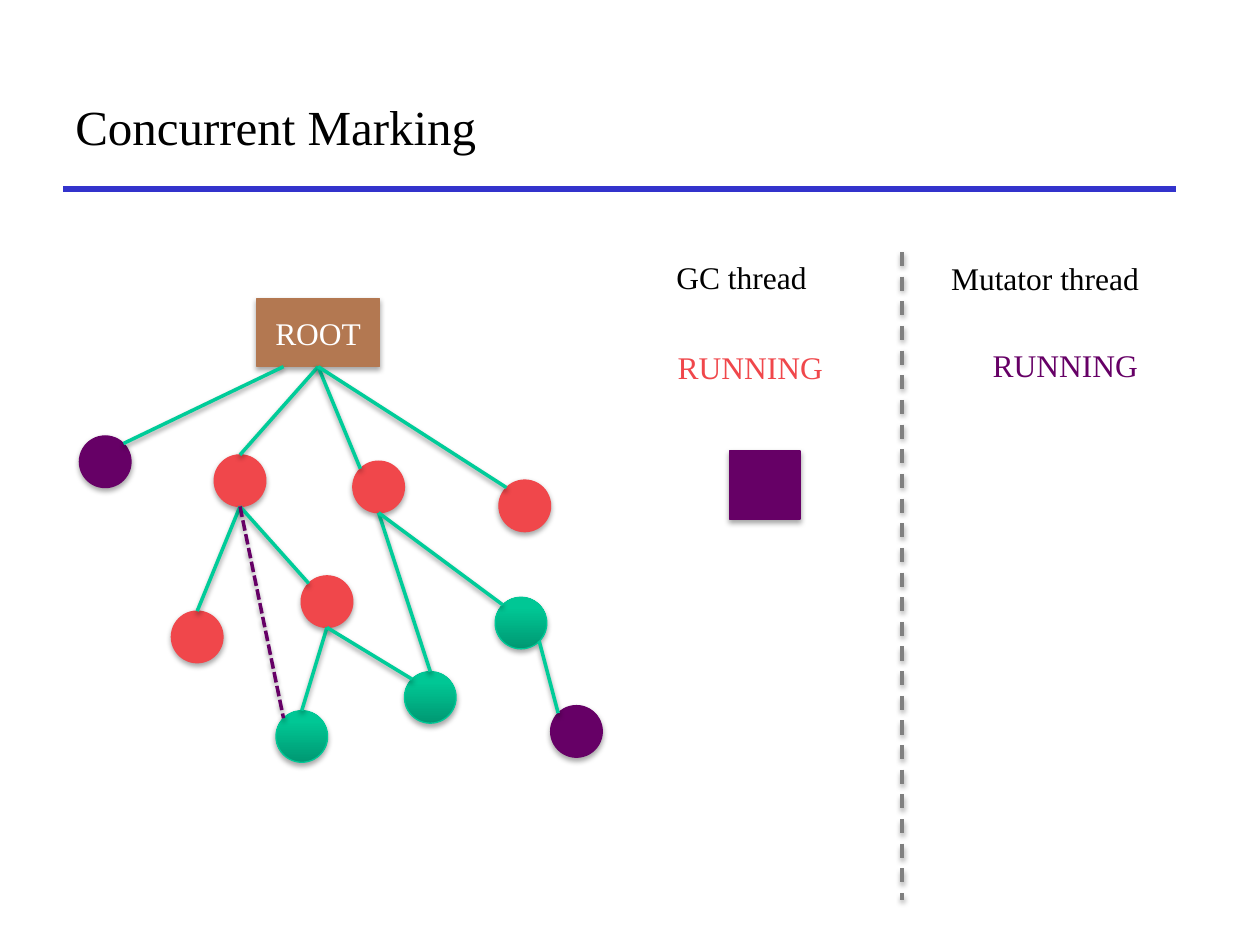
import math

import pptx
import pptx.util
from lxml import etree
from pptx.dml.color import RGBColor
from pptx.enum.dml import MSO_LINE
from pptx.enum.shapes import MSO_CONNECTOR, MSO_SHAPE
from pptx.enum.text import MSO_ANCHOR, MSO_AUTO_SIZE, PP_ALIGN
from pptx.oxml.ns import qn

Inches, Pt = pptx.util.Inches, pptx.util.Pt

BLACK = RGBColor(0, 0, 0)
WHITE = RGBColor(0xFF, 0xFF, 0xFF)
BLUE = RGBColor(0x33, 0x33, 0xCC)
BROWN = RGBColor(0xB3, 0x78, 0x51)
RED = RGBColor(0xF0, 0x47, 0x4B)
PURPLE = RGBColor(0x66, 0x00, 0x66)
GRAY = RGBColor(0x80, 0x80, 0x80)
GREEN = RGBColor(0x00, 0xCC, 0x99)
GREEN_EDGE = RGBColor(0x00, 0xC8, 0x96)
GREEN_DARK = RGBColor(0x00, 0x98, 0x72)
GREEN_LIGHT = RGBColor(0x00, 0xC7, 0x95)

FONT = "Times New Roman"
NODE_SIZE = 0.41
ROOT_BOX = (2.04, 2.37, 0.97, 0.54)
ALLOCATED_BOX = (5.79, 3.58, 0.56, 0.54)

# name: left, top, colour (green nodes get a gradient)
NODES = {
    "a": (1.70, 3.61, RED),
    "b": (2.80, 3.66, RED),
    "a1": (1.36, 4.85, RED),
    "a2": (2.39, 4.57, RED),
    "b1": (3.93, 4.74, GREEN),
    "a2x": (2.19, 5.64, GREEN),
    "a2y": (3.21, 5.33, GREEN),
    "c": (3.96, 3.81, RED),
    "b1x": (4.37, 5.60, PURPLE),
    "new": (0.63, 3.46, PURPLE),
}
# parent, its side, child, its side, colour, dash
EDGES = [
    ("root", "bottom", "a", "top", GREEN, None),
    ("root", "bottom", "b", "top left", GREEN, None),
    ("a", "bottom", "a1", "top", GREEN, None),
    ("a", "bottom", "a2", "top left", GREEN, None),
    ("a2", "bottom", "a2x", "top", GREEN, None),
    ("a2", "bottom", "a2y", "top left", GREEN, None),
    ("b", "bottom", "a2y", "top", GREEN, None),
    ("b", "bottom", "b1", "top left", GREEN, None),
    ("root", "bottom", "c", "top left", GREEN, None),
    ("a", "bottom", "a2x", "top left", PURPLE, MSO_LINE.SQUARE_DOT),
    ("b1", "bottom right", "b1x", "top left", GREEN, None),
    ("root", "bottom left", "new", "top right", GREEN, None),
]
# text, box, size, colour, vertical anchor
TEXTS = [
    ("Concurrent Marking", (0.5, 0.5, 8.83, 1), 28, BLACK, MSO_ANCHOR.MIDDLE),
    ("GC thread", (5.27, 2.00, 1.30, 0.4), 18, BLACK, MSO_ANCHOR.TOP),
    ("Mutator thread", (7.45, 2.01, 1.77, 0.4), 18, BLACK, MSO_ANCHOR.TOP),
    ("RUNNING", (7.78, 2.70, 1.40, 0.4), 18, PURPLE, MSO_ANCHOR.TOP),
    ("RUNNING", (5.28, 2.71, 1.40, 0.4), 18, RED, MSO_ANCHOR.TOP),
]


def set_shadow(properties, opacity=None):
    """Replace the theme shadow; without an opacity there is none."""
    effects = properties.find(qn("a:effectLst"))
    if effects is None:
        effects = etree.SubElement(properties, qn("a:effectLst"))
    if opacity:
        shadow = etree.SubElement(
            effects, qn("a:outerShdw"), blurRad=str(Pt(3.1)),
            dist=str(Pt(1.7)), dir="5400000", rotWithShape="0")
        color = etree.SubElement(shadow, qn("a:srgbClr"), val="000000")
        etree.SubElement(color, qn("a:alpha"), val=str(opacity * 1000))


def format_text(text_frame, text, size, color):
    text_frame.text = text
    font = text_frame.paragraphs[0].runs[0].font
    font.name, font.size, font.color.rgb = FONT, Pt(size), color


def add_text(slide, text, box, size, color, anchor):
    text_frame = slide.shapes.add_textbox(*map(Inches, box)).text_frame
    text_frame.word_wrap = anchor == MSO_ANCHOR.MIDDLE
    if not text_frame.word_wrap:
        text_frame.auto_size = MSO_AUTO_SIZE.SHAPE_TO_FIT_TEXT
    text_frame.vertical_anchor = anchor
    format_text(text_frame, text, size, color)


def add_block(slide, kind, box, color):
    shape = slide.shapes.add_shape(kind, *map(Inches, box))
    if color == GREEN:
        shape.fill.gradient()
        shape.fill.gradient_angle = 90
        dark, light = shape.fill.gradient_stops
        dark.color.rgb, dark.position = GREEN_DARK, 0
        light.color.rgb, light.position = GREEN_LIGHT, 0.8
    else:
        shape.fill.solid()
        shape.fill.fore_color.rgb = color
    shape.line.color.rgb = GREEN_EDGE if color == GREEN else color
    shape.line.width = Pt(0.75)
    shape.shadow.inherit = False
    set_shadow(shape._element.spPr, 35)
    return shape


def add_line(slide, start, end, color, width=2, dash=None, opacity=38):
    line = slide.shapes.add_connector(
        MSO_CONNECTOR.STRAIGHT, *map(Inches, start + end))
    line.line.color.rgb = color
    line.line.width = Pt(width)
    if dash:
        line.line.dash_style = dash
    set_shadow(line._element.spPr, opacity)
    return line


def side_point(name, side):
    """Point on the rim of a node, or on the lower side of the root."""
    if name == "root":
        left, top, width, height = ROOT_BOX
        return (2.25 if "left" in side else left + width / 2, top + height)
    left, top, _ = NODES[name]
    radius = NODE_SIZE / 2
    across = ("right" in side) - ("left" in side)
    down = ("bottom" in side) - ("top" in side)
    reach = radius / math.hypot(across, down)
    return (left + radius + across * reach, top + radius + down * reach)


def main():
    presentation = pptx.Presentation()
    presentation.slide_width, presentation.slide_height = Inches(10), Inches(7.5)
    slide = presentation.slides.add_slide(presentation.slide_layouts[6])

    add_line(slide, (0.5, 1.5), (9.33, 1.5), BLUE, width=3, opacity=None)
    for text in TEXTS:
        add_text(slide, *text)
    add_line(slide, (7.16, 2), (7.16, 7.14), GRAY, dash=MSO_LINE.DASH)

    root = add_block(slide, MSO_SHAPE.RECTANGLE, ROOT_BOX, BROWN)
    root.text_frame.word_wrap = False
    root.text_frame.vertical_anchor = MSO_ANCHOR.MIDDLE
    format_text(root.text_frame, "ROOT", 18, WHITE)
    root.text_frame.paragraphs[0].alignment = PP_ALIGN.CENTER
    add_block(slide, MSO_SHAPE.RECTANGLE, ALLOCATED_BOX, PURPLE)

    shapes = {"root": root}
    for name, (left, top, color) in NODES.items():
        box = (left, top, NODE_SIZE, NODE_SIZE)
        shapes[name] = add_block(slide, MSO_SHAPE.OVAL, box, color)

    for parent, parent_side, child, child_side, color, dash in EDGES:
        edge = add_line(slide, side_point(parent, parent_side),
                        side_point(child, child_side), color, dash=dash)
        if parent == "root" and parent_side == "bottom":
            edge.begin_connect(root, 2)
        if child_side == "top":
            edge.end_connect(shapes[child], 0)

    presentation.save("out.pptx")


if __name__ == "__main__":
    main()
